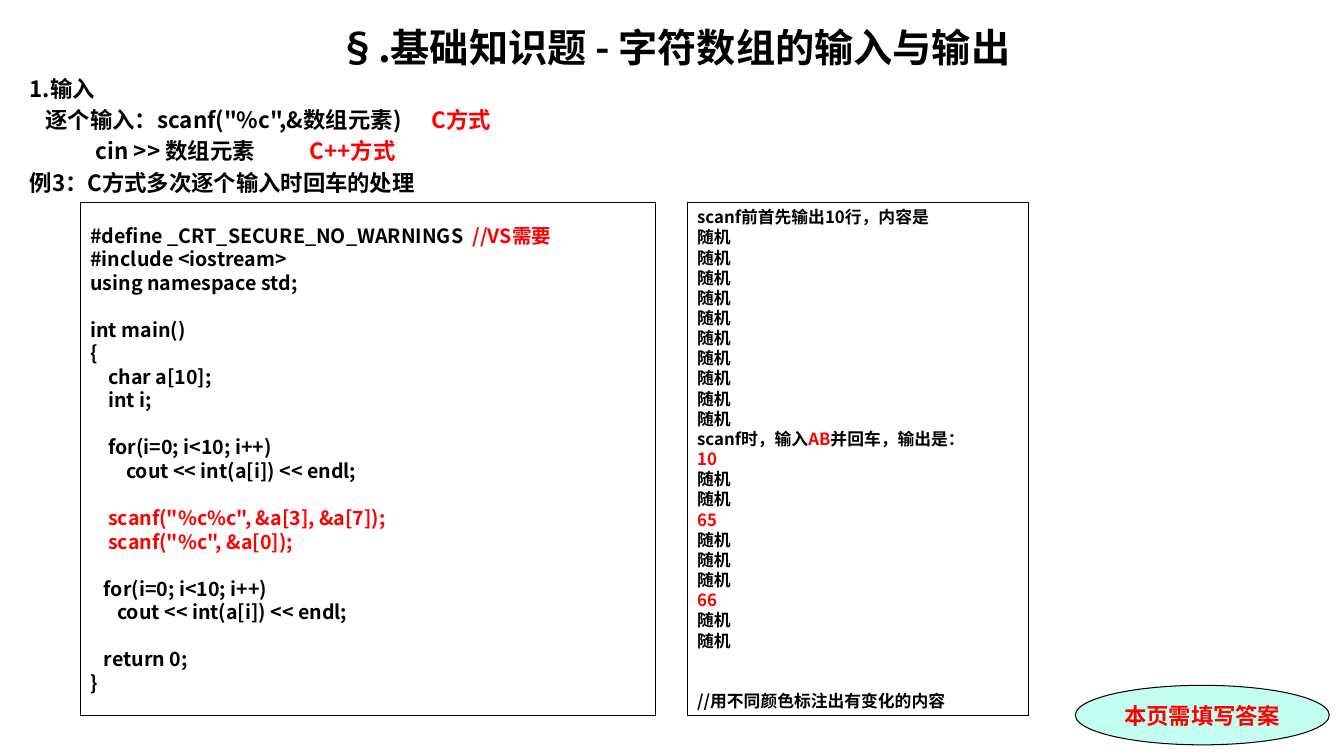
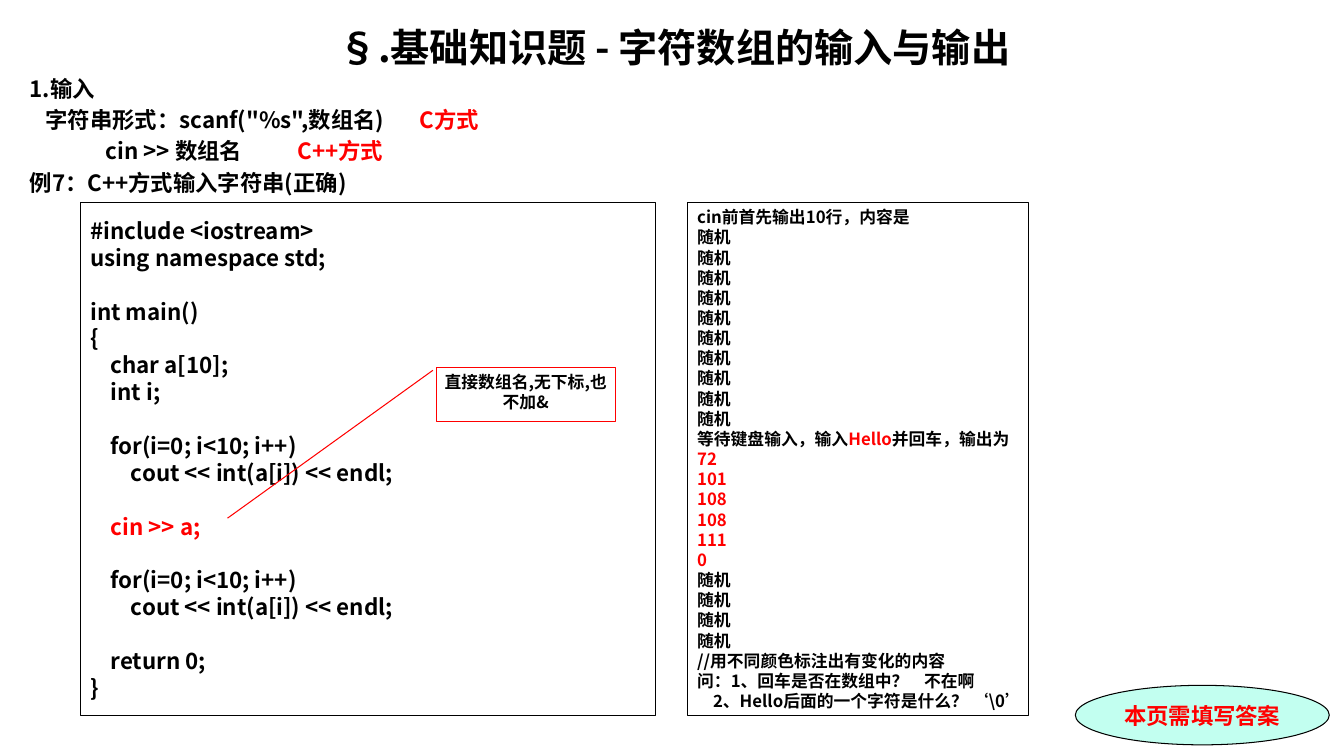
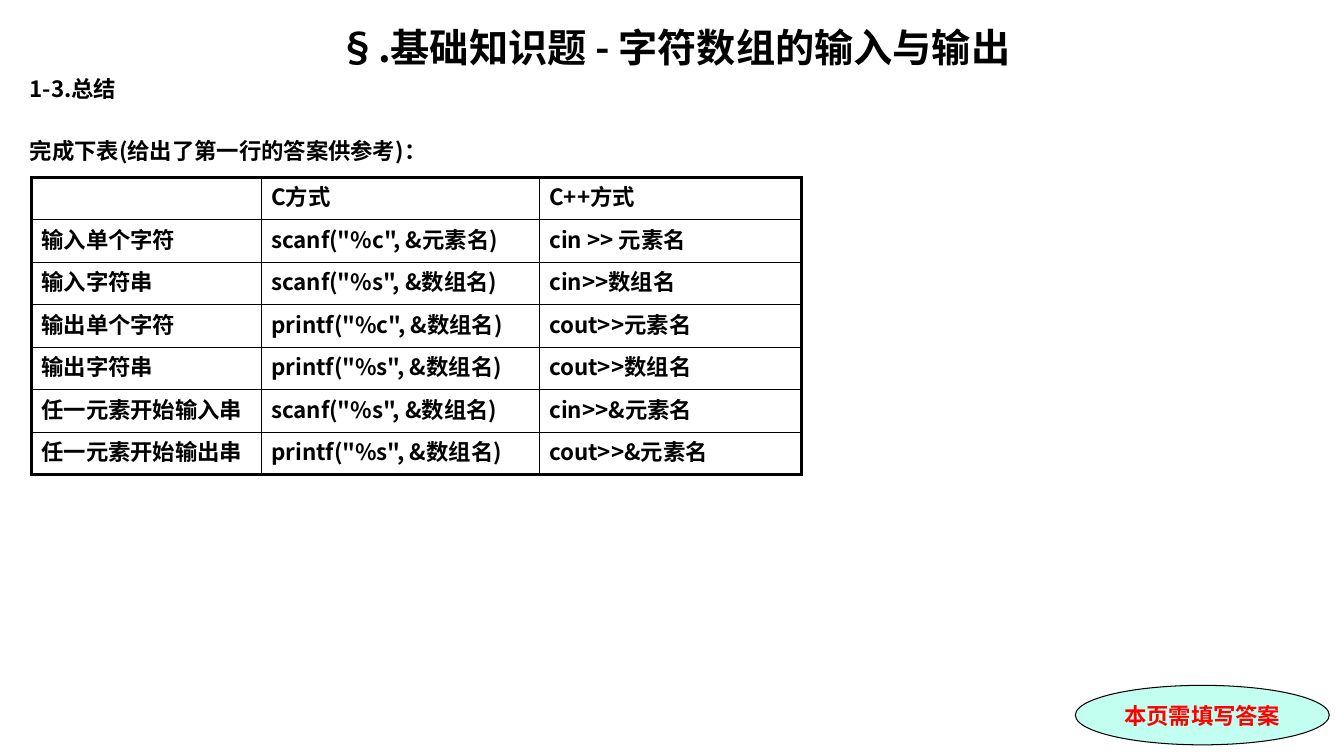
from dataclasses import dataclass

from lxml.etree import SubElement
from pptx import Presentation
from pptx.dml.color import RGBColor
from pptx.enum.shapes import MSO_SHAPE as SHAPE
from pptx.enum.text import MSO_ANCHOR as ANCHOR, PP_ALIGN as ALIGN
from pptx.oxml import parse_xml
from pptx.oxml.ns import nsdecls, qn
from pptx.util import Cm, Pt


@dataclass(frozen=True)
class Theme:
    font: str = "Noto Sans CJK SC"
    badge_font: str = "Times New Roman"
    ink: str = "000000"
    red: str = "FF0000"
    mint: str = "C2FFF0"
    paper: str = "FFFFFF"
    title: int = 28
    body: int = 16
    small: int = 12
    leading: float = 1.2
    gap: float = 0.2
    thin: float = 0.75
    grid: float = 1
    frame: float = 2.25


T = Theme()

TITLE = "§.基础知识题 - 字符数组的输入与输出"
BADGE = "本页需填写答案"
MARK_NOTE = "//用不同颜色标注出有变化的内容"
RANDOM = "随机"

EXAMPLES = [
    {
        "heading": [
            ("1.输入",),
            ("\t逐个输入：scanf(\"%c\",&数组元素)\t|C方式", 0.4, 10.13),
            ("\tcin >> 数组元素\t|C++方式", 1.67, 7.06),
            ("例3：C方式多次逐个输入时回车的处理",),
        ],
        "code_size": 14,
        "code": [
            "#define _CRT_SECURE_NO_WARNINGS|  //VS需要",
            "#include <iostream>",
            "using namespace std;",
            "",
            "int main()",
            "{",
            "    char a[10];",
            "    int i;",
            "",
            "    for(i=0; i<10; i++)",
            "        cout << int(a[i]) << endl;",
            "",
            "|    scanf(\"%c%c\", &a[3], &a[7]);",
            "|    scanf(\"%c\", &a[0]);",
            "",
            "   for(i=0; i<10; i++)",
            "      cout << int(a[i]) << endl;",
            "",
            "   return 0;",
            "}",
        ],
        "output": [
            "scanf前首先输出10行，内容是",
            *[RANDOM] * 10,
            "scanf时，输入|AB|并回车，输出是：",
            "|10",
            *[RANDOM] * 2,
            "|65",
            *[RANDOM] * 3,
            "|66",
            *[RANDOM] * 2,
            "",
            "",
            MARK_NOTE,
        ],
    },
    {
        "heading": [
            ("1.输入",),
            ("\t字符串形式：scanf(\"%s\",数组名)\t|C方式", 0.4, 9.83),
            ("\tcin >> 数组名\t|C++方式", 1.92, 6.75),
            ("例7：C++方式输入字符串(正确)",),
        ],
        "code_size": 16,
        "code": [
            "#include <iostream>",
            "using namespace std;",
            "",
            "int main()",
            "{",
            "    char a[10];",
            "    int i;",
            "",
            "    for(i=0; i<10; i++)",
            "        cout << int(a[i]) << endl;",
            "",
            "|    cin >> a;",
            "",
            "    for(i=0; i<10; i++)",
            "        cout << int(a[i]) << endl;",
            "",
            "    return 0;",
            "}",
        ],
        "output": [
            "cin前首先输出10行，内容是",
            *[RANDOM] * 10,
            "等待键盘输入，输入|Hello|并回车，输出为",
            "|72",
            "|101",
            "|108",
            "|108",
            "|111",
            "|0",
            *[RANDOM] * 4,
            MARK_NOTE,
            ("问：1、回车是否在数组中？\t不在啊", 5.72),
            ("\t2、Hello后面的一个字符是什么？ ‘\\0’", 0.4),
        ],
        "callout": "直接数组名,无下标,也不加&",
    },
]

SUMMARY_HEADING = [("1-3.总结",), "", ("完成下表(给出了第一行的答案供参考)：",)]
SUMMARY = [
    ("", "C方式", "C++方式"),
    ("输入单个字符", "scanf(\"%c\", &元素名)", "cin >> 元素名"),
    ("输入字符串", "scanf(\"%s\", &数组名)", "cin>>数组名"),
    ("输出单个字符", "printf(\"%c\", &数组名)", "cout>>元素名"),
    ("输出字符串", "printf(\"%s\", &数组名)", "cout>>数组名"),
    ("任一元素开始输入串", "scanf(\"%s\", &数组名)", "cin>>&元素名"),
    ("任一元素开始输出串", "printf(\"%s\", &数组名)", "cout>>&元素名"),
]
COL_WIDTHS = (5.79, 7.01, 6.6)
ROW_HEIGHT = 1.07
TABLE_AT = (0.79, 4.47)

HEADING_BOX = (0.5, 0.46, 33, 18)
CODE_BOX = (2.03, 5.1, 14.48, 12.93)
OUTPUT_BOX = (17.32, 5.1, 8.61, 12.93)
CALLOUT_BOX = (11, 9.25, 4.5, 1.37)
CALLOUT_POINTER = (0.06, -0.02, 2.78, -1.17)
BADGE_BOX = (27.1, 17.27, 6.4, 1.5)


def cms(values):
    return [Cm(v) for v in values]


def add_text(p, text, size, color, font):
    r = p.add_run()
    r.text = text
    r.font.size = Pt(size)
    r.font.bold = True
    r.font.name = font
    r.font.color.rgb = RGBColor.from_string(color)
    SubElement(r.font._element, qn("a:ea"), typeface=T.font)


def add_line(p, text, size, stops=(), align=ALIGN.LEFT, before=0, color=T.ink, font=T.font):
    if stops:
        tabs = SubElement(p._p.get_or_add_pPr(), qn("a:tabLst"))
        for stop in stops:
            SubElement(tabs, qn("a:tab"), pos=str(Cm(stop)), algn="l")
    p.alignment = align
    p.line_spacing = Pt(size * T.leading)
    if before:
        p.space_before = Pt(before)
    for i, part in enumerate(text.split("|")):
        if part:
            add_text(p, part, size, T.red if i % 2 else color, font)


def add_lines(tf, lines, size, align=ALIGN.LEFT, gap=0, p=None):
    skipped = 0
    for line in lines:
        if not line:
            skipped += 1
            continue
        text, *stops = (line,) if isinstance(line, str) else line
        before = gap + skipped * (size * T.leading + gap)
        if p is None:
            p, before = tf.paragraphs[0], 0
        else:
            p = tf.add_paragraph()
        add_line(p, text, size, stops, align, before)
        skipped = 0


def add_panel(slide, kind, box, line, fill=None, anchor=ANCHOR.MIDDLE, wrap=True):
    sp = slide.shapes.add_shape(kind, *cms(box))
    sp.shadow.inherit = False
    if fill:
        sp.fill.solid()
        sp.fill.fore_color.rgb = RGBColor.from_string(fill)
    else:
        sp.fill.background()
    sp.line.color.rgb = RGBColor.from_string(line)
    sp.line.width = Pt(T.thin)
    tf = sp.text_frame
    tf.word_wrap = wrap
    tf.vertical_anchor = anchor
    return sp


def add_base(prs, heading):
    slide = prs.slides.add_slide(prs.slide_layouts[6])
    tf = slide.shapes.add_textbox(*cms(HEADING_BOX)).text_frame
    tf.word_wrap = True
    title = tf.paragraphs[0]
    add_line(title, TITLE, T.title, align=ALIGN.CENTER)
    add_lines(tf, heading, T.body, ALIGN.JUSTIFY, T.body * T.gap, title)
    badge = add_panel(slide, SHAPE.OVAL, BADGE_BOX, T.ink, T.mint)
    add_line(badge.text_frame.paragraphs[0], BADGE, T.body, align=ALIGN.CENTER,
             color=T.red, font=T.badge_font)
    return slide


def add_callout(slide, text):
    sp = add_panel(slide, SHAPE.LINE_CALLOUT_1, CALLOUT_BOX, T.red, anchor=ANCHOR.TOP)
    for i, value in enumerate(CALLOUT_POINTER):
        sp.adjustments[i] = value
    tf = sp.text_frame
    tf.margin_left = tf.margin_right = Cm(0.2)
    add_lines(tf, [text], T.small, ALIGN.CENTER)


def add_example(prs, example):
    slide = add_base(prs, example["heading"])
    panels = [
        (CODE_BOX, example["code"], example["code_size"]),
        (OUTPUT_BOX, example["output"], T.small),
    ]
    for box, lines, size in panels:
        sp = add_panel(slide, SHAPE.RECTANGLE, box, T.ink, wrap=False)
        add_lines(sp.text_frame, lines, size)
    if "callout" in example:
        add_callout(slide, example["callout"])


def set_borders(cell, outer):
    tc_pr = cell._tc.get_or_add_tcPr()
    for i, side in enumerate("LRTB"):
        width = Pt(T.frame if side in outer else T.grid)
        tc_pr.insert(i, parse_xml(
            f'<a:ln{side} {nsdecls("a")} w="{width}"><a:solidFill>'
            f'<a:srgbClr val="{T.ink}"/></a:solidFill></a:ln{side}>'))


def add_summary(prs):
    slide = add_base(prs, SUMMARY_HEADING)
    n_rows, n_cols = len(SUMMARY), len(COL_WIDTHS)
    size = (sum(COL_WIDTHS), ROW_HEIGHT * n_rows)
    table = slide.shapes.add_table(n_rows, n_cols, *cms(TABLE_AT + size)).table
    table.first_row = table.horz_banding = False
    for column, width in zip(table.columns, COL_WIDTHS):
        column.width = Cm(width)
    for i, texts in enumerate(SUMMARY):
        table.rows[i].height = Cm(ROW_HEIGHT)
        for j, text in enumerate(texts):
            cell = table.cell(i, j)
            cell.vertical_anchor = ANCHOR.MIDDLE
            cell.fill.solid()
            cell.fill.fore_color.rgb = RGBColor.from_string(T.paper)
            edges = {"L": j == 0, "R": j == n_cols - 1, "T": i == 0, "B": i == n_rows - 1}
            set_borders(cell, [side for side, on in edges.items() if on])
            add_line(cell.text_frame.paragraphs[0], text, T.body)


def main():
    prs = Presentation()
    prs.slide_width, prs.slide_height = Cm(33.87), Cm(19.05)
    for example in EXAMPLES:
        add_example(prs, example)
    add_summary(prs)
    prs.save("out.pptx")


if __name__ == "__main__":
    main()
